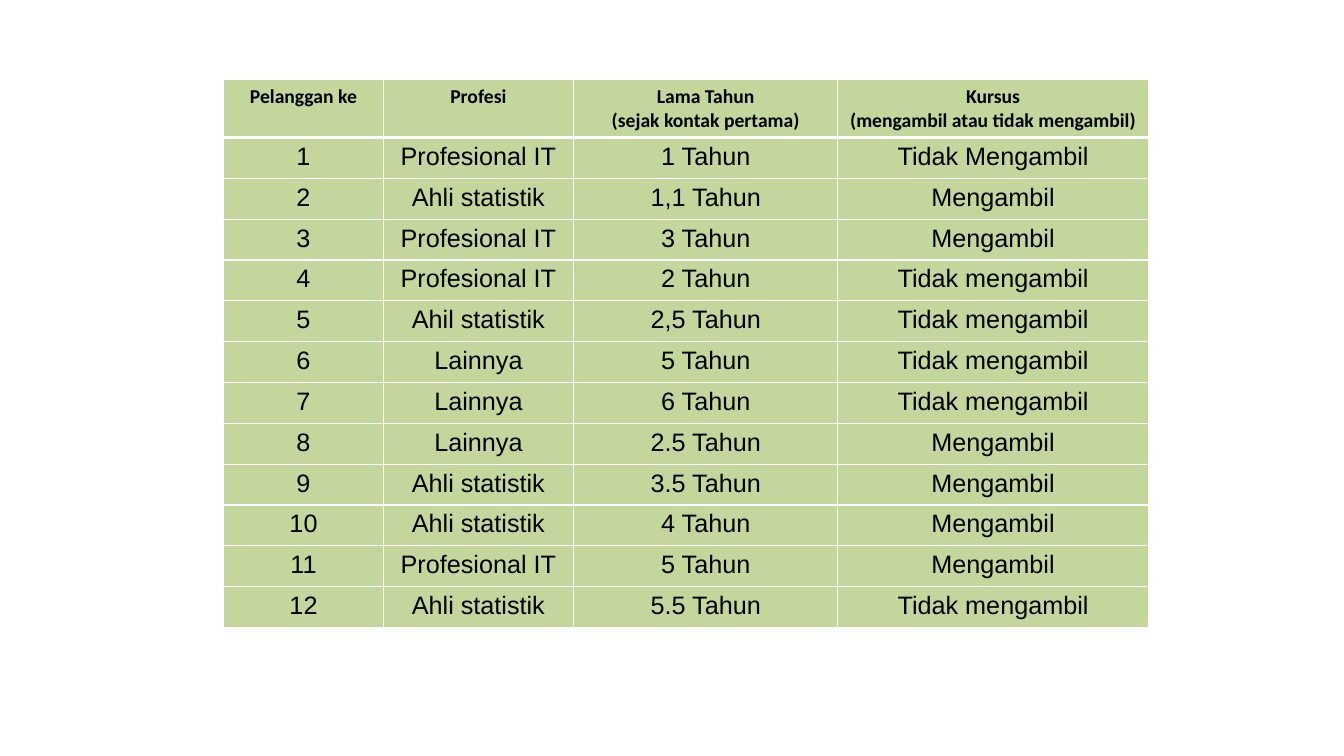
from copy import deepcopy
from dataclasses import dataclass

from lxml.etree import SubElement
from pptx import Presentation
from pptx.dml.color import RGBColor
from pptx.enum.text import PP_ALIGN
from pptx.oxml.ns import qn
from pptx.util import Inches, Pt


@dataclass(frozen=True)
class Theme:
    cell: str = "C3D69B"
    grid: str = "FFFFFF"
    text: str = "000000"
    header_font: str = "Calibri"
    body_font: str = "Arial"
    header_size: int = 14
    body_size: int = 18
    grid_width: int = 1
    header_rule_width: int = 3


THEME = Theme()
COLUMN_WIDTHS = (1.58, 1.89, 2.62, 3.08)
ROWS_HEIGHT = 5.27
CUSTOMERS = (
    ("Pelanggan ke", "Profesi", "Lama Tahun\n(sejak kontak pertama)",
     "Kursus\n(mengambil atau tidak mengambil)"),
    ("1", "Profesional IT", "1 Tahun", "Tidak Mengambil"),
    ("2", "Ahli statistik", "1,1 Tahun", "Mengambil"),
    ("3", "Profesional IT", "3 Tahun", "Mengambil"),
    ("4", "Profesional IT", "2 Tahun", "Tidak mengambil"),
    ("5", "Ahil statistik", "2,5 Tahun", "Tidak mengambil"),
    ("6", "Lainnya", "5 Tahun", "Tidak mengambil"),
    ("7", "Lainnya", "6 Tahun", "Tidak mengambil"),
    ("8", "Lainnya", "2.5 Tahun", "Mengambil"),
    ("9", "Ahli statistik", "3.5 Tahun", "Mengambil"),
    ("10", "Ahli statistik", "4 Tahun", "Mengambil"),
    ("11", "Profesional IT", "5 Tahun", "Mengambil"),
    ("12", "Ahli statistik", "5.5 Tahun", "Tidak mengambil"),
)


def write_text(frame, text, *, font, size, bold=False, color=THEME.text,
               align=PP_ALIGN.CENTER):
    paragraph = frame.paragraphs[0]
    paragraph.text = text
    paragraph.alignment = align
    for run in paragraph.runs:
        run.font.name = font
        run.font.size = Pt(size)
        run.font.bold = bold
        run.font.color.rgb = RGBColor.from_string(color)
    # Line breaks take the text format too, so they keep the line height.
    for line_break in paragraph._p.findall(qn("a:br")):
        line_break.append(deepcopy(paragraph.runs[0]._r.rPr))


def set_borders(cell, top, bottom):
    """Draw the four grid lines of a cell; top and bottom are widths in points."""
    properties = cell._tc.get_or_add_tcPr()
    widths = {"L": THEME.grid_width, "R": THEME.grid_width, "T": top, "B": bottom}
    for side, width in widths.items():
        line = SubElement(properties, qn(f"a:ln{side}"), w=str(Pt(width)))
        fill = SubElement(line, qn("a:solidFill"))
        SubElement(fill, qn("a:srgbClr"), val=THEME.grid)


def format_cell(cell, text, row):
    is_header = row == 0
    set_borders(
        cell,
        top=THEME.header_rule_width if row == 1 else THEME.grid_width,
        bottom=THEME.header_rule_width if is_header else THEME.grid_width,
    )
    cell.fill.solid()
    cell.fill.fore_color.rgb = RGBColor.from_string(THEME.cell)
    write_text(
        cell.text_frame, text,
        font=THEME.header_font if is_header else THEME.body_font,
        size=THEME.header_size if is_header else THEME.body_size,
        bold=is_header,
    )


def add_customer_table(slide, left, top):
    table = slide.shapes.add_table(
        len(CUSTOMERS), len(COLUMN_WIDTHS), Inches(left), Inches(top),
        Inches(sum(COLUMN_WIDTHS)), Inches(ROWS_HEIGHT),
    ).table
    table.horz_banding = False
    for column, width in zip(table.columns, COLUMN_WIDTHS):
        column.width = Inches(width)
    for row, customer in enumerate(CUSTOMERS):
        for column, text in enumerate(customer):
            format_cell(table.cell(row, column), text, row)


def main():
    presentation = Presentation()
    presentation.slide_width = Inches(13.33)
    presentation.slide_height = Inches(7.5)
    blank_layout = presentation.slide_layouts[6]
    slide = presentation.slides.add_slide(blank_layout)
    add_customer_table(slide, left=2.22, top=0.79)
    presentation.save("out.pptx")


if __name__ == "__main__":
    main()
